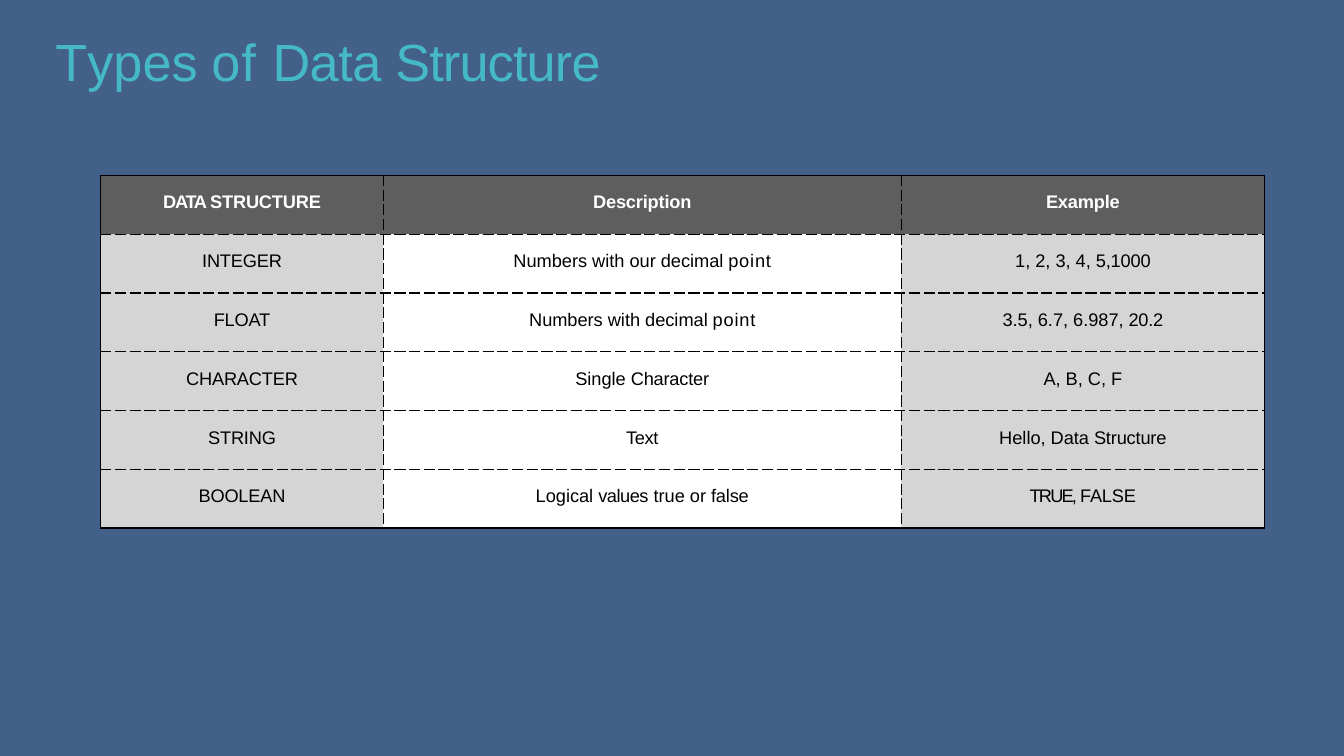
"""Build the slide that lists the types of data structure in a table."""
import pptx
import pptx.dml.color
import pptx.enum.text
import pptx.oxml
import pptx.oxml.ns
import pptx.util

RGBColor = pptx.dml.color.RGBColor
Inches = pptx.util.Inches
Pt = pptx.util.Pt

BLUE = RGBColor(0x43, 0x60, 0x89)
TEAL = RGBColor(0x45, 0xB9, 0xC7)
DARK_GREY = RGBColor(0x5E, 0x5E, 0x5E)
LIGHT_GREY = RGBColor(0xD6, 0xD5, 0xD5)
WHITE = RGBColor(0xFF, 0xFF, 0xFF)
BLACK = RGBColor(0x00, 0x00, 0x00)

SLIDE_WIDTH, SLIDE_HEIGHT = 13.33, 7.5
TITLE_BOX = (0.55, 0.28, 7.33, 0.64)
TABLE_LEFT, TABLE_TOP = 1, 1.74
COLUMN_WIDTHS = (2.8, 5.14, 3.6)
ROW_HEIGHT = 3.5 / 6

TITLE = [("T", -5.7), ("y", -1.3), ("p", -1.2), ("e", -1.3), ("s ", -0.5),
         ("of ", 0.7), ("Data ", -0.4), ("Structure", -0.6)]
ROWS = [
    [[("DATA ", -0.9), ("STRUCTURE", -0.1)],
     [("Description", -0.1)],
     [("Example", -0.1)]],
    [[("INTEGER", -0.1)],
     [("Numbers with our decimal ", 0), ("point", 0.6)],
     [("1, 2, 3, 4, ", 0), ("5,1000", -0.1)]],
    [[("FLOAT", -0.1)],
     [("Numbers with decimal ", 0), ("point", 0.6)],
     [("3.5, 6.7, 6.987, ", 0), ("20.2", -0.2)]],
    [[("CHARACTER", -0.1)],
     [("Single ", 0), ("Character", -0.1)],
     [("A, B, C, ", 0), ("F", -0.5)]],
    [[("STRING", -0.1)],
     [("Text", -0.2)],
     [("Hello, Data ", 0), ("Structure", -0.1)]],
    [[("BOOLEAN", -0.1)],
     [("Logical ", 0), ("values", -0.3), (" true or ", 0), ("false", -0.1)],
     [("TRUE, ", -1.3), ("FALSE", -0.1)]],
]
COLUMN_FILLS = (LIGHT_GREY, WHITE, LIGHT_GREY)

TITLE_FONT = {"name": "Arial", "size": Pt(37.3), "bold": False}
HEADER_FONT = {"name": "Arial", "size": Pt(13), "bold": True}
BODY_FONT = {"name": "Arial", "size": Pt(13), "bold": False}
TITLE_MARGINS = {"margin_left": 0, "margin_top": Inches(0.01),
                 "margin_right": 0, "margin_bottom": 0, "word_wrap": True}
CELL_FORMAT = {"margin_left": 0, "margin_top": Inches(0.17),
               "margin_right": 0, "margin_bottom": 0,
               "vertical_anchor": pptx.enum.text.MSO_ANCHOR.TOP}


def set_attributes(target, values):
    for name, value in values.items():
        setattr(target, name, value)


def write_runs(paragraph, runs, font_format, color):
    for text, spacing in runs:
        run = paragraph.add_run()
        run.text = text
        set_attributes(run.font, font_format)
        run.font.color.rgb = color
        run.font._element.set("spc", str(round(spacing * 100)))


def add_borders(cell, outer_sides):
    properties = cell._tc.get_or_add_tcPr()
    for position, side in enumerate(("lnL", "lnR", "lnT", "lnB")):
        dash = "solid" if side in outer_sides else "dash"
        properties.insert(position, pptx.oxml.parse_xml(
            f'<a:{side} {pptx.oxml.ns.nsdecls("a")} w="{Pt(1)}">'
            f'<a:solidFill><a:srgbClr val="{BLACK}"/></a:solidFill>'
            f'<a:prstDash val="{dash}"/></a:{side}>'))


def add_title(slide):
    frame = slide.shapes.add_textbox(*map(Inches, TITLE_BOX)).text_frame
    set_attributes(frame, TITLE_MARGINS)
    write_runs(frame.paragraphs[0], TITLE, TITLE_FONT, TEAL)


def add_type_table(slide):
    last_row, last_column = len(ROWS) - 1, len(COLUMN_WIDTHS) - 1
    table = slide.shapes.add_table(
        len(ROWS), len(COLUMN_WIDTHS), Inches(TABLE_LEFT), Inches(TABLE_TOP),
        Inches(sum(COLUMN_WIDTHS)), Inches(ROW_HEIGHT * len(ROWS))).table
    for column, width in zip(table.columns, COLUMN_WIDTHS):
        column.width = Inches(width)
    for row_index, row in enumerate(ROWS):
        table.rows[row_index].height = Inches(ROW_HEIGHT)
        is_header = row_index == 0
        for column_index, runs in enumerate(row):
            cell = table.cell(row_index, column_index)
            set_attributes(cell, CELL_FORMAT)
            cell.fill.solid()
            cell.fill.fore_color.rgb = DARK_GREY if is_header else COLUMN_FILLS[column_index]
            edges = {"lnL": column_index == 0, "lnR": column_index == last_column,
                     "lnT": is_header, "lnB": row_index == last_row}
            add_borders(cell, [side for side, is_outer in edges.items() if is_outer])
            paragraph = cell.text_frame.paragraphs[0]
            paragraph.alignment = pptx.enum.text.PP_ALIGN.CENTER
            write_runs(paragraph, runs, HEADER_FONT if is_header else BODY_FONT,
                       WHITE if is_header else BLACK)


def main():
    presentation = pptx.Presentation()
    presentation.slide_width = Inches(SLIDE_WIDTH)
    presentation.slide_height = Inches(SLIDE_HEIGHT)
    slide = presentation.slides.add_slide(presentation.slide_layouts[6])
    slide.background.fill.solid()
    slide.background.fill.fore_color.rgb = BLUE
    add_title(slide)
    add_type_table(slide)
    presentation.save("out.pptx")


if __name__ == "__main__":
    main()
